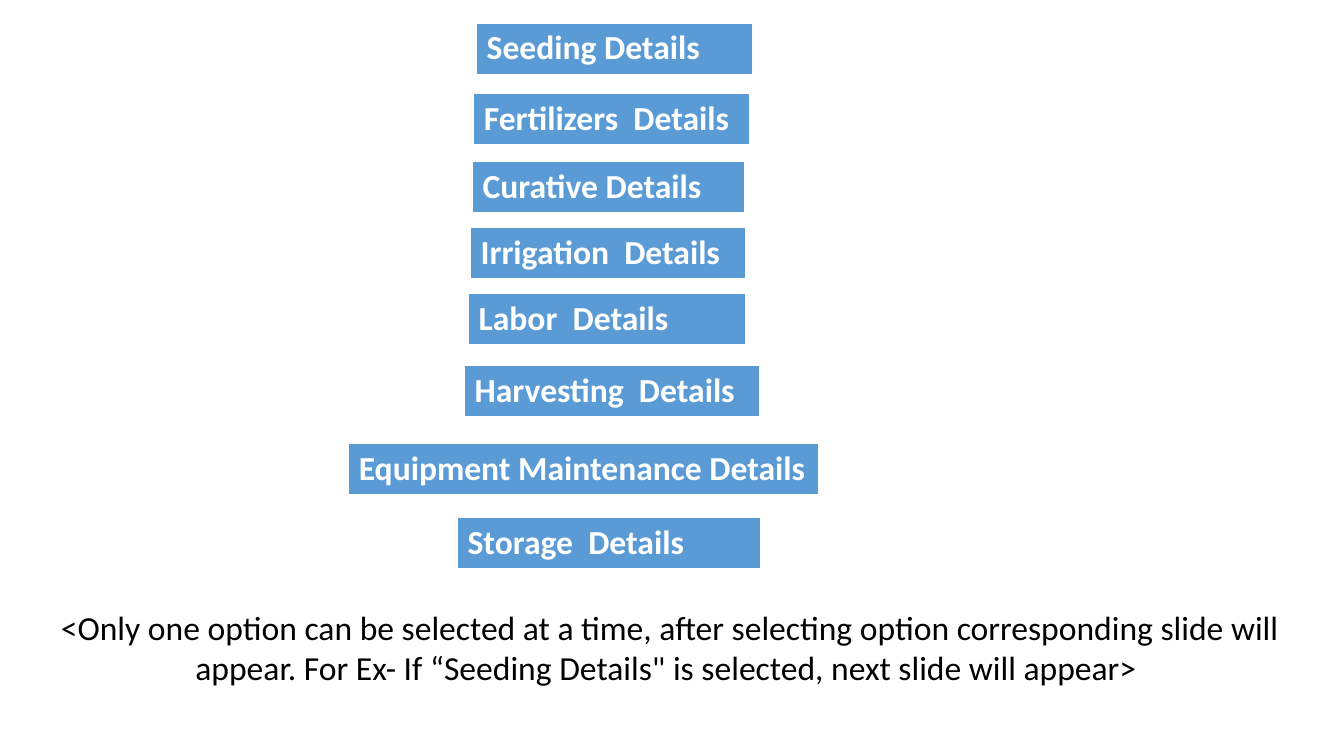
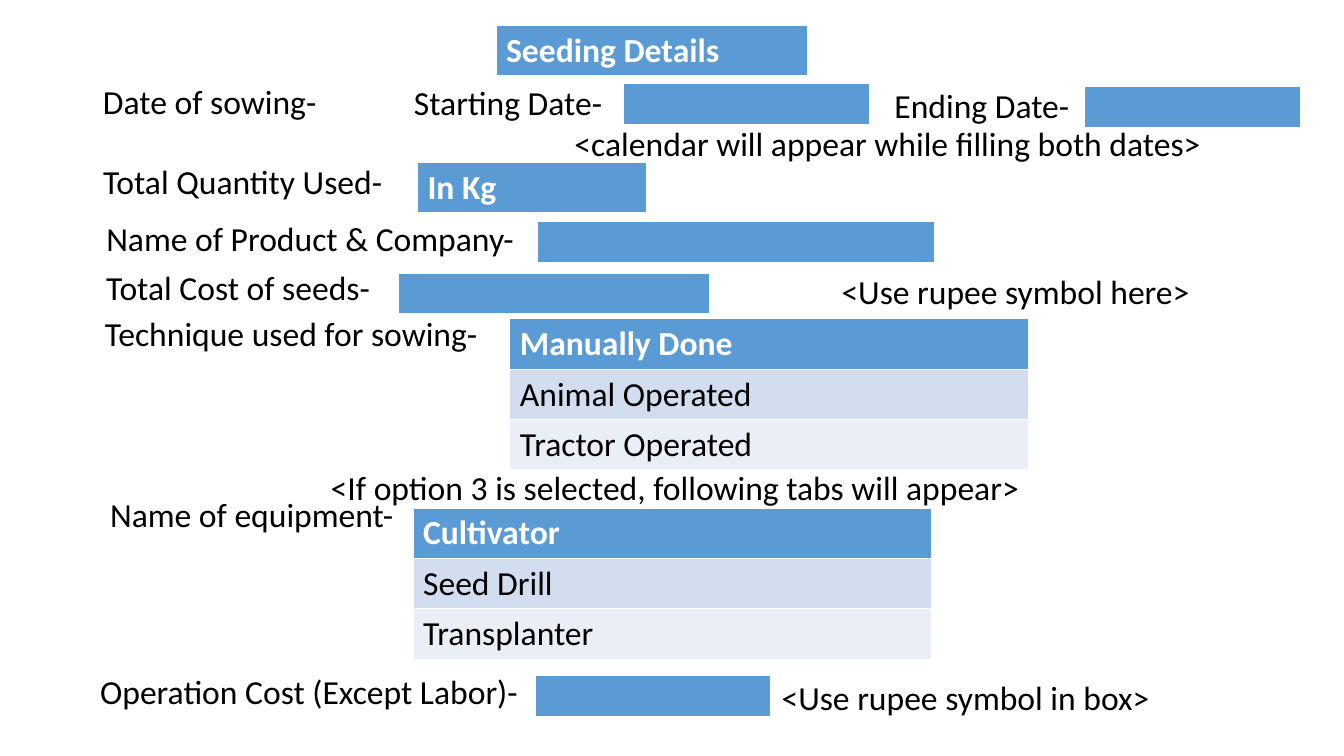
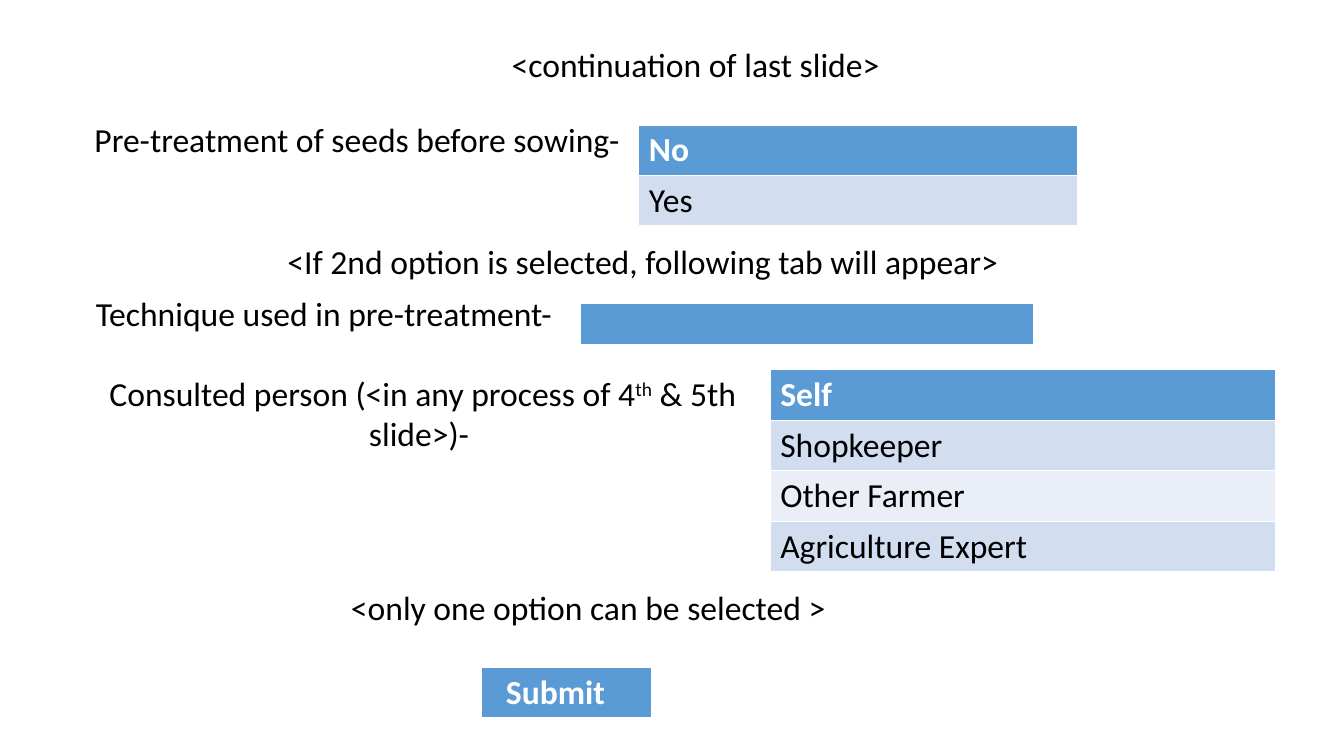
from pptx import Presentation
from pptx.dml.color import RGBColor as RGB
from pptx.enum.text import MSO_AUTO_SIZE as AutoSize, PP_ALIGN as Align
from pptx.util import Cm, Pt

FONT = "Calibri"
SIZE = Pt(24)
COLORS = {"head": "5B9BD5", "band_dark": "D2DEEF", "band_light": "EAEFF7",
          "white": "FFFFFF", "text": "000000"}
LABEL_H = 1.27   # text line and filled table row
FIELD_H = 1.03   # empty input field


def rgb(name):
    return RGB.from_string(COLORS[name])


def style_run(r, color, bold=False):
    r.font.name = FONT
    r.font.size = SIZE
    r.font.bold = bold
    r.font.color.rgb = rgb(color)


def add_label(s, text, left, top, width, height=LABEL_H):
    """Centred text; a (text, True) part in a list is superscript."""
    sp = s.shapes.add_textbox(Cm(left), Cm(top), Cm(width), Cm(height))
    tf = sp.text_frame
    tf.word_wrap = True
    tf.auto_size = AutoSize.SHAPE_TO_FIT_TEXT
    p = tf.paragraphs[0]
    p.alignment = Align.CENTER
    parts = [(text, False)] if isinstance(text, str) else text
    for part, raised in parts:
        r = p.add_run()
        r.text = part
        style_run(r, "text")
        if raised:
            r.font._element.set("baseline", "30000")


def add_options(s, options, left, top, width, row_h=LABEL_H):
    """One-column table: header row, then alternating bands."""
    frame = s.shapes.add_table(len(options), 1, Cm(left), Cm(top),
                               Cm(width), Cm(row_h * len(options)))
    table = frame.table
    for i, option in enumerate(options):
        table.rows[i].height = Cm(row_h)
        cell = table.cell(i, 0)
        fill = "head" if i == 0 else ("band_light", "band_dark")[i % 2]
        cell.fill.solid()
        cell.fill.fore_color.rgb = rgb(fill)
        if option:
            cell.text_frame.text = option
            r = cell.text_frame.paragraphs[0].runs[0]
            style_run(r, "text" if i else "white", bold=i == 0)
    return table


def add_field(s, left, top, width):
    add_options(s, [""], left, top, width, FIELD_H)


def add_all(s, add, items):
    for item in items:
        add(s, *item)


def build_menu(s):
    # Menu buttons
    add_all(s, add_options, [
        (["Seeding Details"], 12.01, 0.58, 6.96),
        (["Fertilizers  Details"], 11.94, 2.36, 6.96),
        (["Curative Details"], 11.91, 4.06, 6.86),
        (["Irrigation  Details"], 11.86, 5.74, 6.93),
        (["Labor  Details"], 11.81, 7.39, 6.99),
        (["Harvesting  Details"], 11.71, 9.22, 7.44),
        (["Equipment Maintenance Details"], 8.79, 11.18, 11.84),
        (["Storage  Details"], 11.53, 13.03, 7.65),
    ])
    # Instruction
    add_label(s, "<Only one option can be selected at a time, after selecting "
              "option corresponding slide will appear. For Ex- If “Seeding "
              "Details\" is selected, next slide will appear> ",
              0.33, 15.16, 33.1, 2.31)


def build_seeding(s):
    # Labels and instructions
    add_all(s, add_label, [
        ("Date of sowing- ", 1.57, 1.91, 7.62),
        ("Starting Date- ", 9.09, 1.93, 7.62),
        ("Ending Date- ", 21.03, 2.01, 7.62),
        ("<calendar will appear while filling both dates> ", 12.9, 2.97, 19.13),
        ("Total Quantity Used- ", 1.88, 3.94, 8.66),
        ("Name of Product & Company- ", 1.85, 5.36, 12.12),
        ("Total Cost of seeds- ", 1.98, 6.6, 8.23),
        ("<Use rupee symbol here> ", 18.64, 6.71, 14.1),
        ("Technique used for sowing- ", 1.68, 7.75, 11.51),
        ("<If option 3 is selected, following tabs will appear> ",
         6.83, 11.63, 20.55),
        ("Name of equipment- ", 1.17, 12.32, 10.54),
        ("Operation Cost (Except Labor)- ", 2.26, 16.79, 11.25),
        ("<Use rupee symbol in box>", 16.97, 16.92, 14.73),
    ])
    # Empty fields: dates, product, seed cost, operation cost
    add_all(s, add_field, [
        (15.7, 2.11, 6.22),
        (27.33, 2.18, 5.44),
        (13.54, 5.59, 10.01),
        (10.03, 6.88, 7.85),
        (13.49, 17.02, 5.92),
    ])
    # Heading, unit and option lists
    add_all(s, add_options, [
        (["Seeding Details"], 12.5, 0.64, 7.85),
        (["In Kg"], 10.52, 4.09, 5.77),
        (["Manually Done", "Animal Operated", "Tractor Operated"],
         12.85, 8.03, 13.06),
        (["Cultivator", "Seed Drill", "Transplanter"], 10.41, 12.8, 13.06),
    ])


def build_treatment(s):
    # Labels and instructions
    add_all(s, add_label, [
        ("<continuation of last slide> ", 10.36, 0.97, 14.53),
        ("Pre-treatment of seeds before sowing- ", 1.88, 2.87, 14.43),
        ("<If 2nd option is selected, following tab will appear> ",
         5.92, 5.94, 20.75),
        ("Technique used in pre-treatment- ", 0.97, 7.26, 14.58),
        ([("Consulted person (<in any process of 4", False), ("th", True),
          (" & 5th slide>)- ", False)], 1.88, 9.27, 17.55, 2.31),
        ("<only one option can be selected > ", 6.4, 14.66, 17.04),
    ])
    # Options and technique field
    add_options(s, ["No", "Yes"], 16.1, 3.15, 11.05)
    add_field(s, 14.63, 7.65, 11.43)
    add_options(s, ["Self", "Shopkeeper", "Other Farmer", "Agriculture Expert"],
                19.41, 9.32, 12.73)
    # Submit button
    button = add_options(s, ["Submit"], 12.12, 16.81, 4.29)
    button.cell(0, 0).margin_left = Cm(0.63)


def main():
    prs = Presentation()
    prs.slide_width, prs.slide_height = Cm(33.87), Cm(19.05)
    blank = prs.slide_layouts[6]
    for build in (build_menu, build_seeding, build_treatment):
        build(prs.slides.add_slide(blank))
    prs.save("out.pptx")


if __name__ == "__main__":
    main()
